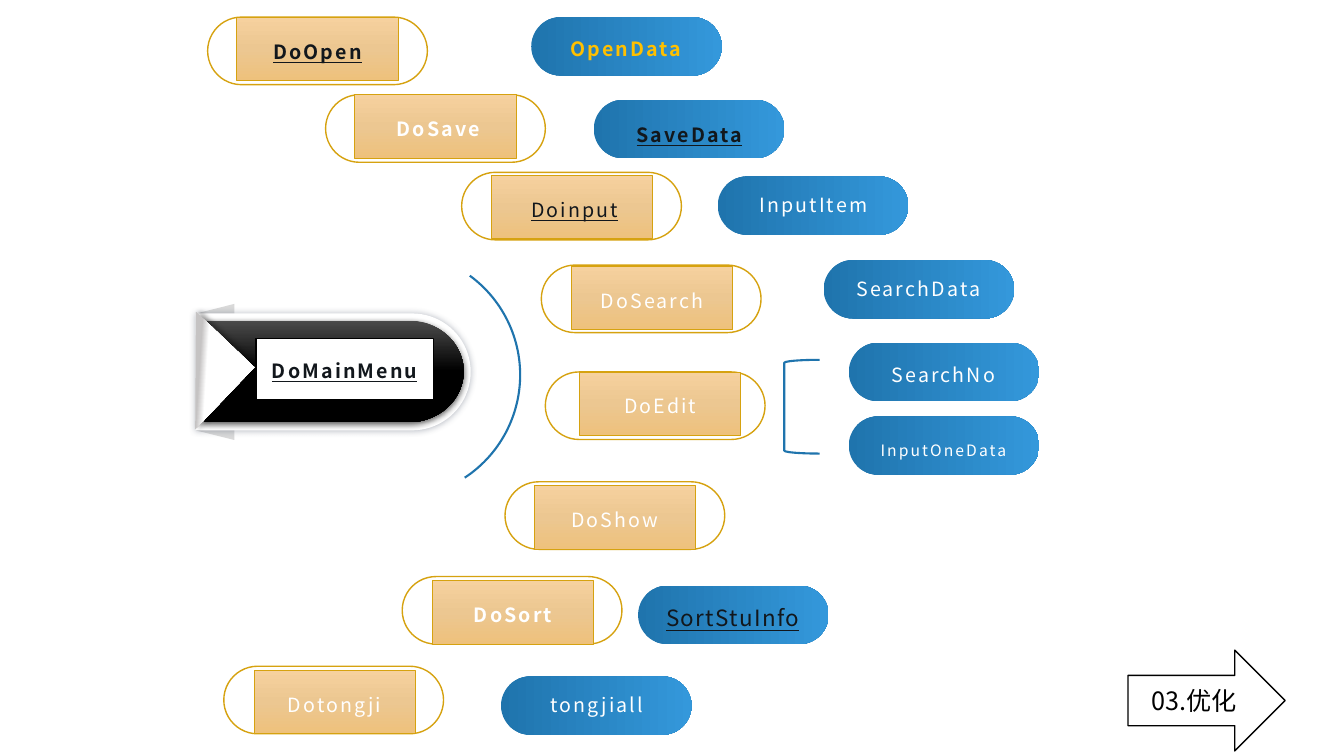
from dataclasses import dataclass
from math import cos, pi, sin

from lxml import etree
from pptx import Presentation
from pptx import util as u
from pptx.dml.color import RGBColor
from pptx.enum import shapes, text
from pptx.oxml.ns import qn

KIND = shapes.MSO_SHAPE
COLS, ROWS, CELL = 133.33, 75, 0.1  # square grid cells, in inches


@dataclass(frozen=True)
class Theme:
    font: str = "Noto Sans CJK SC"
    white: str = "FFFFFF"
    black: str = "000000"
    ink: str = "12171C"
    amber: str = "FFC000"
    gold: str = "D6A210"
    blue: str = "1F74AD"
    fold: str = "D9D9D9"
    haze: str = "4D576B"
    pill: tuple = ((0, "1F74AD"), (100, "3498DB"))
    sand: tuple = ((0, "F6D19E"), (50, "ECC791"), (100, "EEC17C"))
    night: tuple = ((0, "4B4B4B"), (50, "000000"), (100, "000000"))
    notch: tuple = ((53, "C5C3C3"), (59, "FFFFFF"))
    small: float = 11.2
    base: float = 14
    large: float = 16
    head: float = 18


T = Theme()


@dataclass(frozen=True)
class Task:
    """A box in a rounded frame; dx and dy place the box in its frame."""
    name: str
    x: float
    y: float
    dx: float = 2.9
    dy: float = 0
    color: str = T.white
    bold: bool = False
    under: bool = False
    shift: float = 0


@dataclass(frozen=True)
class Step:
    """A blue pill with a label; dx and dy place the label on the pill."""
    name: str
    x: float
    y: float
    dx: float = 1.5
    dy: float = 0
    color: str = T.white
    bold: bool = False
    under: bool = False
    size: float = T.base


TASKS = [
    Task("DoOpen", 20.6, 1.7, color=T.ink, bold=True, under=True),
    Task("DoSave", 32.3, 9.4, bold=True, shift=0.6),
    Task("Doinput", 45.8, 17.1, dy=0.3, color=T.ink, under=True, shift=0.6),
    Task("DoSearch", 53.7, 26.3, 3, 0.1),
    Task("DoEdit", 54.1, 36.9, 3.4),
    Task("DoShow", 50.1, 47.8, dy=0.4),
    Task("DoSort", 39.9, 57.2, 3, 0.4, bold=True),
    Task("Dotongji", 22.2, 66.1, 3, 0.4),
]
STEPS = [
    Step("OpenData", 52.7, 1.7, 1.4, 0.3, T.amber, bold=True),
    Step("SaveData", 58.9, 9.9, 1.5, 0.6, T.ink, bold=True, under=True),
    Step("InputItem", 71.2, 17.5),
    Step("SearchData", 81.7, 25.8, 1.4),
    Step("SearchNo", 84.2, 34, 1.4, 0.3),
    Step("InputOneData", 84.2, 41.3, 1.4, 0.6, size=T.small),
    Step("SortStuInfo", 63.3, 58.1, 2, 0.3, T.ink, under=True, size=T.large),
    Step("tongjiall", 49.7, 67.1),
]


def grid(n: float) -> int:
    return u.Inches(n * CELL)


def blend(shape, stops: tuple, angle: float) -> None:
    shape.fill.gradient()
    shape.fill.gradient_angle = -angle % 360
    found = shape._element.spPr.find(".//" + qn("a:gsLst"))
    for old in list(found):
        found.remove(old)
    for place, color in stops:
        stop = etree.SubElement(found, qn("a:gs"), pos=str(place * 1000))
        etree.SubElement(stop, qn("a:srgbClr"), val=color)


def paint(shape, fill=None, angle: float = 0, line=None, width: float = 1):
    shape.shadow.inherit = False
    if fill is None:
        shape.fill.background()
    elif isinstance(fill, tuple):
        blend(shape, fill, angle)
    else:
        shape.fill.solid()
        shape.fill.fore_color.rgb = RGBColor.from_string(fill)
    if line:
        shape.line.color.rgb = RGBColor.from_string(line)
        shape.line.width = u.Pt(width)
    else:
        shape.line.fill.background()
    return shape


def shade(shape, color: str, alpha: int, blur: float, dist: float, angle: int) -> None:
    """Cast an outer shadow."""
    cast = etree.SubElement(
        shape._element.spPr.find(qn("a:effectLst")), qn("a:outerShdw"),
        blurRad=str(u.Pt(blur)), dist=str(u.Pt(dist)), dir=str(angle * 60000),
        algn="ctr", rotWithShape="0")
    tint = etree.SubElement(cast, qn("a:srgbClr"), val=color)
    etree.SubElement(tint, qn("a:alpha"), val=str(alpha * 1000))


def draw(slide, kind, x: float, y: float, w: float, h: float, turn: float = 0,
         bend: tuple = (), **look):
    shape = slide.shapes.add_shape(kind, *map(grid, (x, y, w, h)))
    shape.rotation = turn
    for i, value in enumerate(bend):
        shape.adjustments[i] = value
    return paint(shape, **look)


def bullet(slide, x: float, y: float, w: float, h: float, nose: float, **look):
    """Draw a bar whose right end is a half ellipse, nose wide."""
    side = x + w - nose
    arc = [(side + nose * sin(pi * i / 40), y + h / 2 * (1 - cos(pi * i / 40)))
           for i in range(41)]
    pen = slide.shapes.build_freeform(grid(x), grid(y))
    pen.add_line_segments([(grid(a), grid(b)) for a, b in arc + [(x, y + h)]])
    return paint(pen.convert_to_shape(), **look)


def write(shape, words: str, *, color: str = T.white, size: float = T.base,
          bold: bool = False, under: bool = False, gap: float = 1.5,
          lead: float = 1.2, shift: float = 0, align=text.PP_ALIGN.CENTER,
          anchor=text.MSO_ANCHOR.MIDDLE) -> None:
    frame = shape.text_frame
    frame.word_wrap = True
    frame.vertical_anchor = anchor
    frame.margin_left = grid(1 + shift)
    para = frame.paragraphs[0]
    para.alignment, para.line_spacing = align, lead
    run = para.add_run()
    run.text = words
    font = run.font
    font.name, font.size, font.bold, font.underline = T.font, u.Pt(size), bold, under
    font.color.rgb = RGBColor.from_string(color)
    props = run._r.get_or_add_rPr()
    props.set("spc", str(int(gap * 100)))
    props.find(qn("a:latin")).addnext(etree.Element(qn("a:ea"), typeface=T.font))


def banner(slide) -> None:
    draw(slide, KIND.TRAPEZOID, 14.6, 35, 13.5, 3.8, 270, (0.25,), fill=T.fold)
    rim = bullet(slide, 19.4, 31.1, 27.3, 11.6, 5.8, fill=T.white)
    shade(rim, T.haze, 40, 5, 0, 0)
    core = bullet(slide, 20.2, 31.8, 25.8, 10.1, 5.5, fill=T.night, angle=90)
    shade(core, T.black, 63, 4.5, 1.5, 90)
    notch = draw(slide, KIND.RIGHT_TRIANGLE, 15.4, 32.5, 8, 8.5, 223.6,
                 fill=T.notch, angle=140)
    shade(notch, T.black, 40, 4, 3, 0)
    title = draw(slide, KIND.RECTANGLE, 25.4, 33.6, 17.6, 6.1, fill=T.white, line=T.black)
    write(title, "DoMainMenu", color=T.ink, bold=True, under=True, lead=1.1)


def step(slide, s: Step) -> None:
    draw(slide, KIND.ROUNDED_RECTANGLE, s.x, s.y, 18.9, 5.8, bend=(0.5,), fill=T.pill)
    large = s.size == T.large
    label = slide.shapes.add_textbox(
        *map(grid, (s.x + s.dx, s.y + s.dy, 16, 4.6 if large else 5.2)))
    extra = dict(gap=1, lead=1.4, shift=-0.2, align=text.PP_ALIGN.JUSTIFY,
                 anchor=text.MSO_ANCHOR.TOP) if large else {}
    write(label, s.name, color=s.color, size=s.size, bold=s.bold, under=s.under, **extra)


def task(slide, t: Task) -> None:
    draw(slide, KIND.ROUNDED_RECTANGLE, t.x, t.y, 21.8, 6.7, bend=(0.5,),
         fill=T.white, line=T.gold)
    box = draw(slide, KIND.RECTANGLE, t.x + t.dx, t.y + t.dy, 16, 6.3,
               fill=T.sand, angle=90, line=T.gold, width=0.5)
    write(box, t.name, color=t.color, bold=t.bold, under=t.under, shift=t.shift)


def main() -> None:
    deck = Presentation()
    deck.slide_width, deck.slide_height = grid(COLS), grid(ROWS)
    slide = deck.slides.add_slide(deck.slide_layouts[6])
    banner(slide)
    draw(slide, KIND.ARC, 27.2, 25, 24.4, 24.4, 45, (156.73, 7), line=T.blue, width=1.5)
    draw(slide, KIND.LEFT_BRACKET, 77.8, 35.7, 3.5, 9.3, line=T.blue, width=1.5)
    for s in STEPS:
        step(slide, s)
    for t in TASKS:
        task(slide, t)
    arrow = draw(slide, KIND.RIGHT_ARROW, 111.9, 64.5, 15.6, 10, fill=T.white, line=T.black)
    write(arrow, "03.优化", color=T.black, size=T.head, gap=0, lead=1)
    deck.save("out.pptx")


if __name__ == "__main__":
    main()
